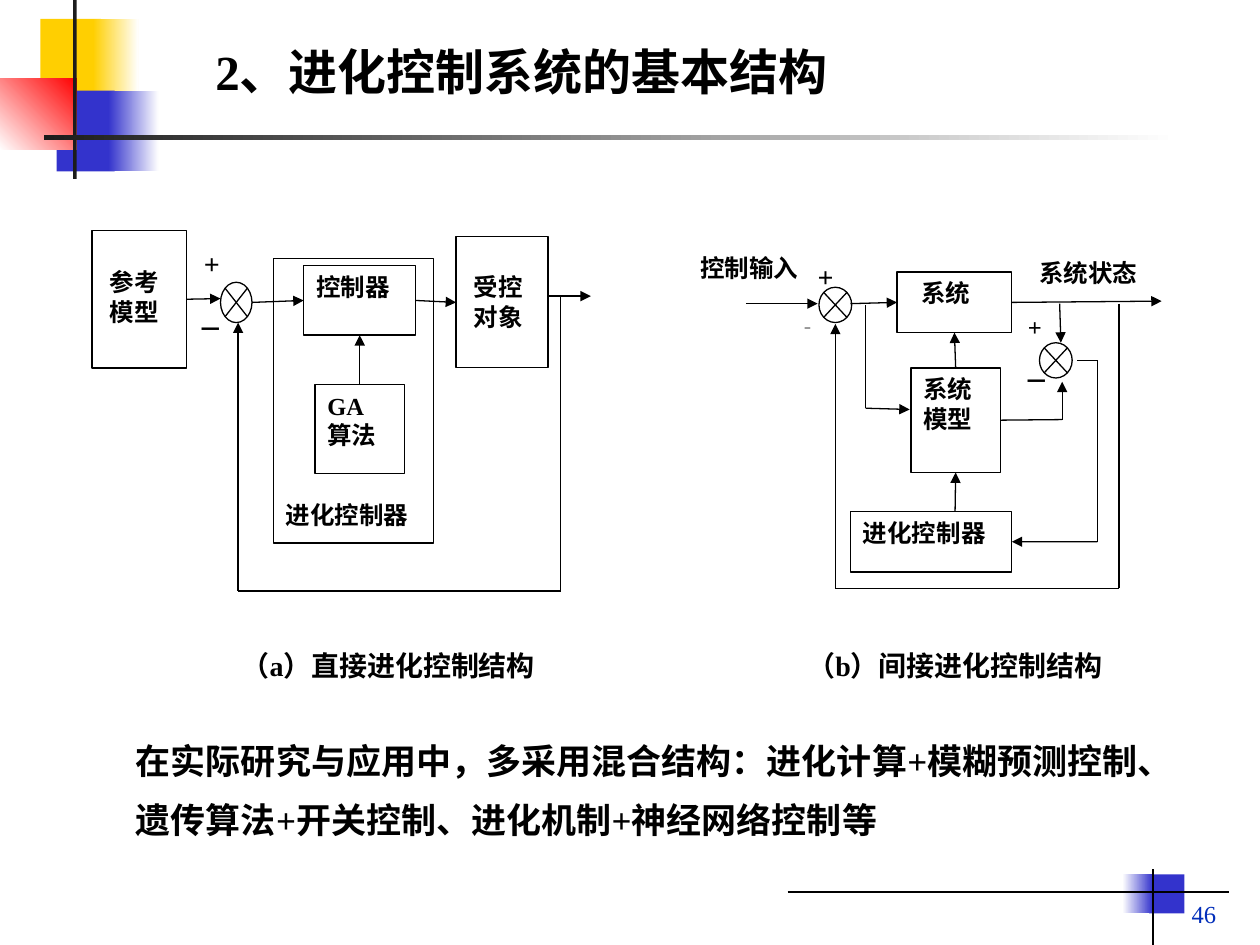
"""Build the slide on direct and indirect evolutionary control structures."""
from dataclasses import dataclass
from typing import NamedTuple, Optional, Union

from lxml.etree import SubElement
from pptx import Presentation
from pptx.dml.color import RGBColor
from pptx.enum.shapes import MSO_CONNECTOR, MSO_SHAPE
from pptx.enum.text import MSO_ANCHOR, PP_ALIGN
from pptx.oxml.ns import qn
from pptx.util import Inches, Pt


@dataclass(frozen=True)
class Theme:
    font: str = "Times New Roman"
    black: str = "000000"
    white: str = "FFFFFF"
    dark: str = "1C1C1C"
    yellow: str = "FFCF01"
    blue: str = "3333CC"
    red: str = "FF0000"
    number: str = "022EBA"
    title: float = 28
    body: float = 20
    caption: float = 16
    label: float = 14
    tiny: float = 4.5
    line: float = 0.75


T = Theme()


class Rect(NamedTuple):
    x: float
    y: float
    w: float
    h: float


class Site(NamedTuple):
    box: str
    side: int


class Point(NamedTuple):
    x: float
    y: float


End = Union[Point, Site]
TOP, LEFT, BOTTOM, RIGHT = range(4)


@dataclass(frozen=True)
class Decor:
    at: Rect
    start: str
    end: Optional[str] = None
    angle: float = 0


@dataclass(frozen=True)
class Box:
    at: Rect
    text: str
    name: str = ""
    left: float = 0.1
    top: float = 0.05
    size: float = T.label


@dataclass(frozen=True)
class Link:
    start: End
    end: End
    arrow: bool = True


DECOR = [
    Decor(Rect(0.32, 0.15, 0.48, 0.64), T.yellow),
    Decor(Rect(0.74, 0.15, 0.36, 0.64), T.yellow, T.white),
    Decor(Rect(0.45, 0.72, 0.46, 0.64), T.blue),
    Decor(Rect(0.86, 0.72, 0.4, 0.64), T.blue, T.white),
    Decor(Rect(0, 0.62, 0.61, 0.57), T.white, T.red, 45),
    Decor(Rect(0.58, 0, 0.03, 1.42), T.dark),
    Decor(Rect(0.35, 1.07, 9, 0.04), T.dark, T.white),
    Decor(Rect(9.12, 6.94, 0.28, 0.31), T.blue),
    Decor(Rect(8.91, 6.94, 0.24, 0.31), T.white, T.blue),
]
LABELS = [
    Box(Rect(1.48, 2.44, 0.51, 0.51), "－"),
    Box(Rect(1.52, 1.91, 0.35, 0.5), "+", size=T.caption),
    Box(Rect(5.46, 1.96, 1.1, 0.45), "控制输入"),
    Box(Rect(8.15, 2, 1.18, 0.47), "系统状态"),
    Box(Rect(6.28, 2.52, 0.43, 0.2), "－", size=T.tiny),
    Box(Rect(6.39, 2.01, 0.48, 0.46), "+", size=T.caption),
    Box(Rect(8.03, 2.86, 0.55, 0.6), "－"),
    Box(Rect(8.06, 2.43, 0.45, 0.5), "+"),
]
BLOCKS = [
    Box(Rect(2.17, 2.05, 1.27, 2.26), "进化控制器", "evolver_a", top=1.92),
    Box(Rect(0.73, 1.83, 0.75, 1.09), "参考\n模型", "reference", 0.14, 0.29),
    Box(Rect(2.41, 2.11, 0.89, 0.55), "控制器", "controller"),
    Box(Rect(2.5, 3.05, 0.71, 0.71), "GA\n算法", "ga"),
    Box(Rect(3.62, 1.88, 0.73, 1.04), "受控\n对象", "plant", 0.14, 0.28),
    Box(Rect(7.12, 2.16, 0.91, 0.48), "系统", "system", 0.19),
    Box(Rect(7.23, 2.92, 0.71, 0.83), "系统\n模型", "model"),
    Box(Rect(6.75, 4.06, 1.28, 0.48), "进化控制器", "evolver_b"),
]
JUNCTIONS = [Rect(1.75, 2.24, 0.25, 0.32), Rect(6.5, 2.28, 0.26, 0.28), Rect(8.25, 2.72, 0.26, 0.28)]
LINKS = [
    Link(Site("reference", RIGHT), Point(1.75, 2.37)),
    Link(Point(2, 2.4), Site("controller", LEFT)),
    Link(Site("controller", RIGHT), Site("plant", LEFT)),
    Link(Point(4.35, 2.35), Point(4.69, 2.35)),
    Link(Site("ga", TOP), Site("controller", BOTTOM)),
    Link(Point(4.45, 2.35), Point(4.45, 4.69), False),
    Link(Point(4.45, 4.69), Point(1.89, 4.69), False),
    Link(Point(1.89, 4.69), Point(1.89, 2.56)),
    Link(Point(5.92, 2.41), Point(6.49, 2.41)),
    Link(Point(6.75, 2.41), Site("system", LEFT)),
    Link(Site("system", RIGHT), Point(9.22, 2.39)),
    Link(Point(8.41, 2.41), Point(8.42, 2.72)),
    Link(Point(8.43, 3.33), Point(8.43, 3.03)),
    Link(Point(8.43, 3.33), Site("model", RIGHT), False),
    Link(Point(7.58, 4.06), Site("model", BOTTOM)),
    Link(Point(6.87, 3.24), Point(7.22, 3.25)),
    Link(Point(6.87, 3.24), Point(6.87, 2.42), False),
    Link(Point(8.55, 2.86), Point(8.71, 2.86), False),
    Link(Point(8.71, 2.86), Point(8.71, 4.3), False),
    Link(Point(8.71, 4.3), Site("evolver_b", RIGHT)),
    Link(Site("model", TOP), Site("system", BOTTOM)),
    Link(Point(8.88, 2.41), Point(8.88, 4.67), False),
    Link(Point(8.88, 4.67), Point(6.63, 4.67), False),
    Link(Point(6.63, 4.67), Point(6.63, 2.57)),
    Link(Point(6.25, 7.08), Point(9.75, 7.08), False),
    Link(Point(9.15, 6.9), Point(9.15, 7.5), False),
]


def color(value: str) -> RGBColor:
    """Turn a hex string into a colour."""
    return RGBColor.from_string(value)


def write(tf, text: str, size: float, ink: str = T.black, bold: bool = True,
          align=PP_ALIGN.LEFT, spacing=None) -> None:
    """Fill a text frame and format its runs."""
    tf.text = text
    tf.word_wrap = True
    for p in tf.paragraphs:
        p.alignment = align
        p.line_spacing = spacing
        for r in p.runs:
            r.font.name, r.font.size, r.font.bold = T.font, Pt(size), bold
            r.font.color.rgb = color(ink)


def add_shape(s, kind, at: Rect, fill: str, outlined: bool):
    """Add a flat preset shape with a solid fill."""
    sp = s.shapes.add_shape(kind, *map(Inches, at))
    sp.shadow.inherit = False
    sp.fill.solid()
    sp.fill.fore_color.rgb = color(fill)
    if outlined:
        sp.line.color.rgb = color(T.black)
        sp.line.width = Pt(T.line)
    else:
        sp.line.fill.background()
    return sp


def add_decor(s, d: Decor) -> None:
    """Add a decorative rectangle, plain or with a gradient."""
    sp = add_shape(s, MSO_SHAPE.RECTANGLE, d.at, d.start, False)
    if d.end:
        sp.fill.gradient()
        sp.fill.gradient_angle = d.angle
        for stop, pos, value in zip(sp.fill.gradient_stops, (0, 1), (d.start, d.end)):
            stop.position, stop.color.rgb = pos, color(value)


def add_box(s, b: Box, outlined: bool):
    """Add a white rectangle with its text."""
    sp = add_shape(s, MSO_SHAPE.RECTANGLE, b.at, T.white, outlined)
    tf = sp.text_frame
    tf.vertical_anchor = MSO_ANCHOR.TOP
    tf.margin_left, tf.margin_top = Inches(b.left), Inches(b.top)
    write(tf, b.text, b.size, align=PP_ALIGN.JUSTIFY)
    return sp


def add_link(s, link: Link, blocks: dict) -> None:
    """Add a straight connector, joined to blocks where it meets them."""
    ends = [e if isinstance(e, Point) else Point(0, 0) for e in (link.start, link.end)]
    c = s.shapes.add_connector(MSO_CONNECTOR.STRAIGHT, *(Inches(v) for e in ends for v in e))
    for end, join in ((link.start, c.begin_connect), (link.end, c.end_connect)):
        if isinstance(end, Site):
            join(blocks[end.box], end.side)
    c.line.color.rgb = color(T.black)
    c.line.width = Pt(T.line)
    spPr = c._element.spPr
    if link.arrow:
        SubElement(spPr.find(qn("a:ln")), qn("a:tailEnd"), type="triangle")
    SubElement(spPr, qn("a:effectLst"))


def add_text(s, at: Rect, text: str, size: float, **style):
    """Add a wrapping text box."""
    tf = s.shapes.add_textbox(*map(Inches, at)).text_frame
    write(tf, text, size, **style)
    return tf


def main() -> None:
    """Build and save the slide."""
    prs = Presentation()
    prs.slide_width, prs.slide_height = Inches(10), Inches(7.5)
    s = prs.slides.add_slide(prs.slide_layouts[5])
    for d in DECOR:
        add_decor(s, d)
    title = s.shapes.title
    title.left, title.top, title.width, title.height = map(Inches, Rect(1.61, 0.28, 6.33, 0.57))
    title.text_frame.vertical_anchor = MSO_ANCHOR.MIDDLE
    write(title.text_frame, "2、进化控制系统的基本结构", T.title)
    for b in LABELS:
        add_box(s, b, False)
    blocks = {b.name: add_box(s, b, True) for b in BLOCKS}
    for at in JUNCTIONS:
        add_shape(s, MSO_SHAPE.FLOWCHART_SUMMING_JUNCTION, at, T.white, True)
    for link in LINKS:
        add_link(s, link, blocks)
    add_text(s, Rect(1.82, 5.1, 3.21, 0.37), "（a）直接进化控制结构", T.caption)
    add_text(s, Rect(6.31, 5.1, 2.71, 0.37), "（b）间接进化控制结构", T.caption)
    add_text(s, Rect(0.98, 5.69, 8.43, 1.04),
             "在实际研究与应用中，多采用混合结构：进化计算+模糊预测控制、\n"
             "遗传算法+开关控制、进化机制+神经网络控制等", T.body, spacing=Pt(33.6))
    tf = add_text(s, Rect(7.67, 6.9, 2.08, 0.52), "46", T.label,
                  ink=T.number, bold=False, align=PP_ALIGN.RIGHT)
    tf.vertical_anchor = MSO_ANCHOR.BOTTOM
    prs.save("out.pptx")


if __name__ == "__main__":
    main()
